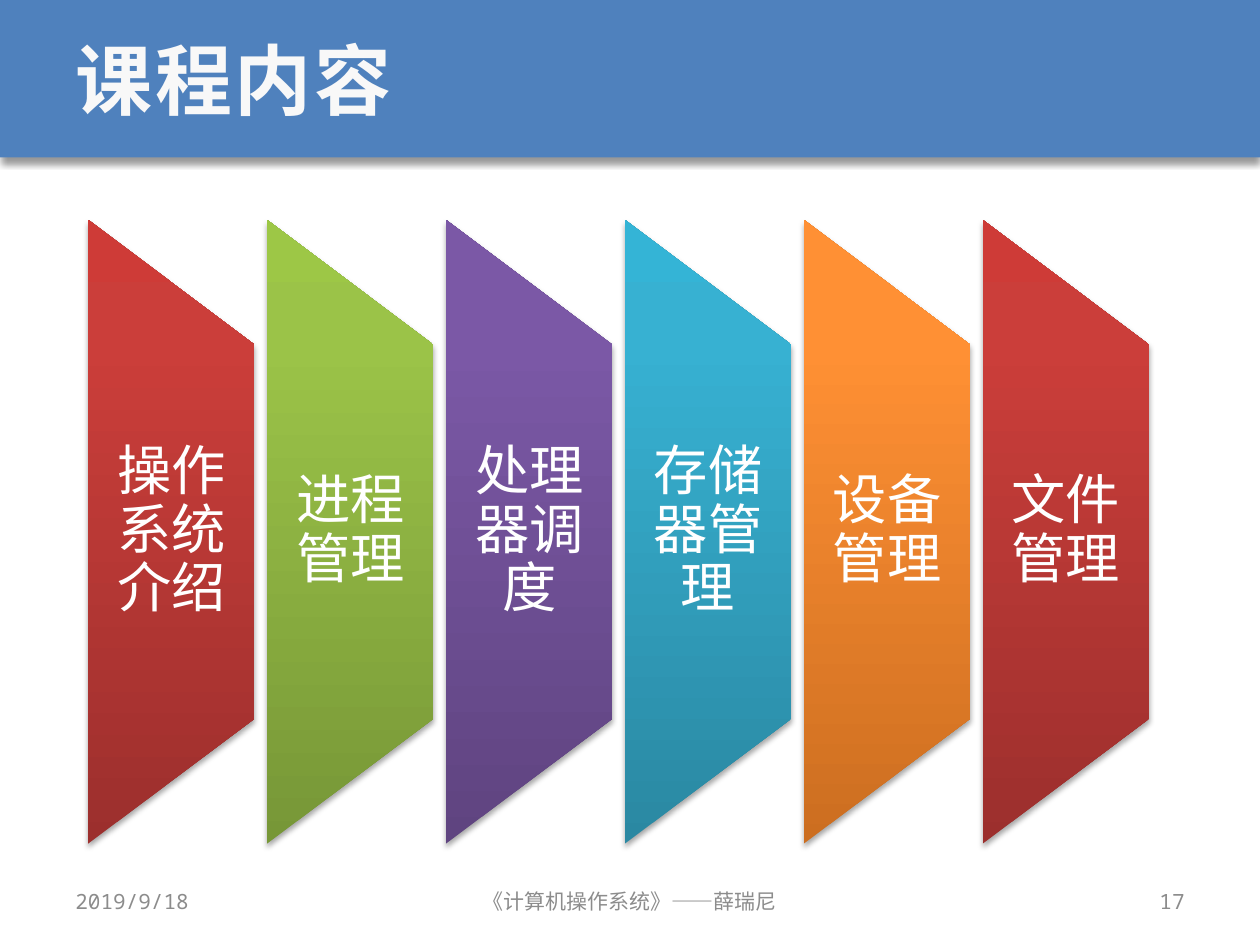
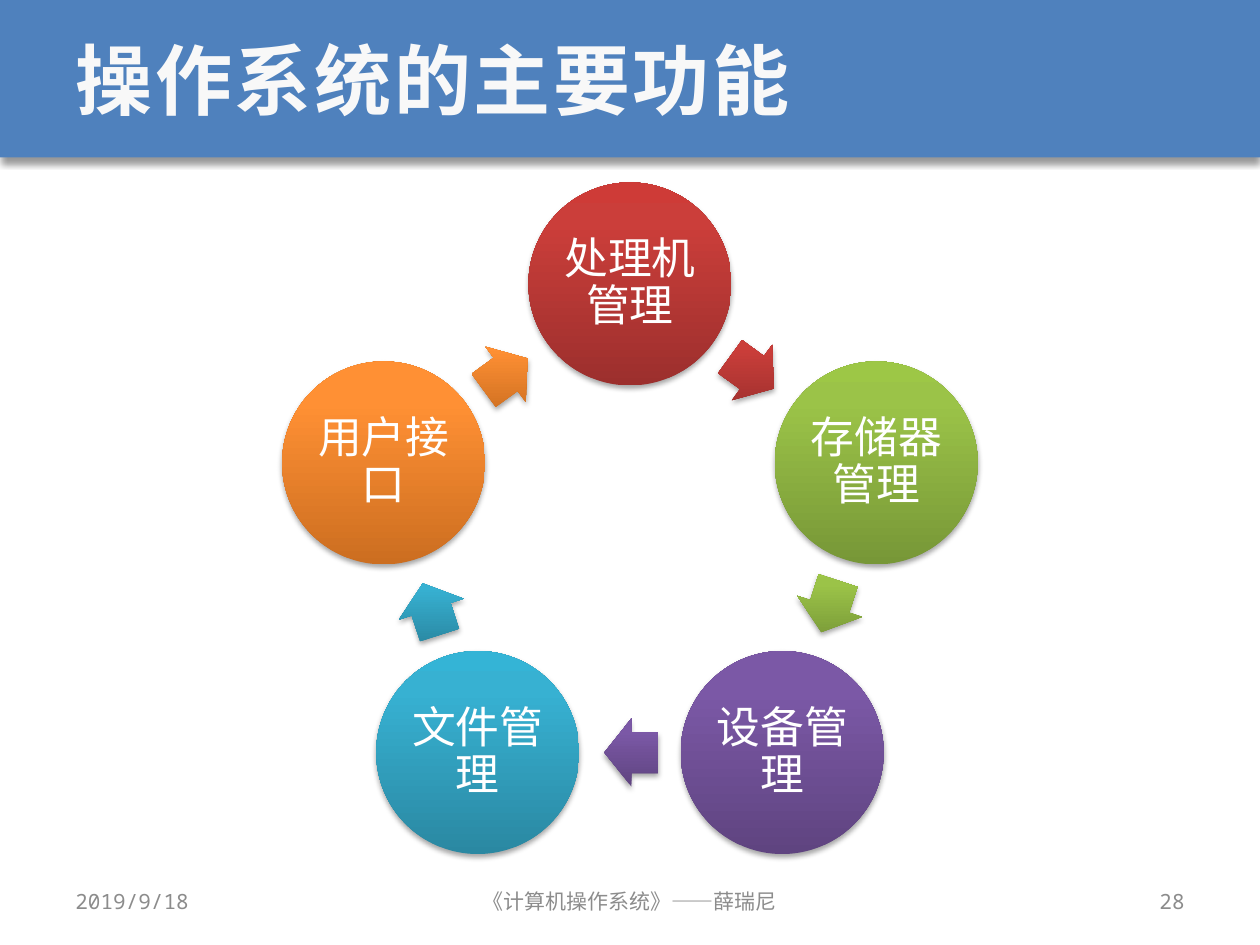
"""Build two course slides: the chapter overview and the cycle of system functions."""
from math import cos, radians, sin

from pptx import Presentation
from pptx.dml.color import RGBColor
from pptx.enum.shapes import MSO_SHAPE
from pptx.enum.text import MSO_ANCHOR, PP_ALIGN
from pptx.oxml import parse_xml
from pptx.oxml.ns import nsdecls, qn
from pptx.util import Pt

RED = ("9C2F2D", "CB3E3A", "CE3B37")
GREEN = ("779737", "9BC348", "9DC746")
PURPLE = ("5F4480", "7B58A6", "7C57A8")
TEAL = ("2A88A2", "37B1D2", "34B4D6")
ORANGE = ("CC6E20", "FF9034", "FF9136")
PALETTE = (RED, GREEN, PURPLE, TEAL, ORANGE)

CHAPTERS = ("操作系统介绍", "进程管理", "处理器调度", "存储器管理", "设备管理", "文件管理")
FUNCTIONS = ("处理机管理", "存储器管理", "设备管理", "文件管理", "用户接口")


def rgb(hex_color):
    return RGBColor.from_string(hex_color)


class Deck:
    BAND_HEIGHT = 90
    TITLE = dict(name="Noto Sans Mono", size=Pt(44), bold=True)
    FOOTER = dict(name="Noto Sans Mono", size=Pt(12))
    BAND_SHADOW = dict(blur=4, dist=3, alpha=40)
    ART_SHADOW = dict(blur=3.1, dist=1.8, alpha=35)

    def __init__(self):
        self.presentation = Presentation()
        self.presentation.slide_width = Pt(720)
        self.presentation.slide_height = Pt(540)
        self.slide = None

    def start_slide(self, heading, number):
        self.slide = self.presentation.slides.add_slide(self.presentation.slide_layouts[5])
        band = self.shape(MSO_SHAPE.RECTANGLE, (0, 0, 720, self.BAND_HEIGHT), self.BAND_SHADOW)
        band.fill.solid()
        band.fill.fore_color.rgb = rgb("4F81BD")
        self.slide.shapes._spTree.insert(2, band.element)

        title = self.slide.shapes.title
        bounds = dict(left=36, top=0, width=648, height=self.BAND_HEIGHT)
        for side, length in bounds.items():
            setattr(title, side, Pt(length))
        run = self.fill_text(title.text_frame, heading, self.TITLE, "F8F8F8", PP_ALIGN.LEFT)
        run._r.get_or_add_rPr().set("spc", "150")

        for text, left, width, align in (
            ("2019/9/18", 36, 168, PP_ALIGN.LEFT),
            ("《计算机操作系统》——薛瑞尼", 246, 228, PP_ALIGN.CENTER),
            (number, 516, 168, PP_ALIGN.RIGHT),
        ):
            self.text((left, 500.4, width, 28.8), text, self.FOOTER, "8C8C8C", align)

    def fill_text(self, frame, text, style, color, align, insets=None, spacing=None):
        frame.word_wrap = True
        frame.vertical_anchor = MSO_ANCHOR.MIDDLE
        if insets:
            for side, inset in zip(("left", "top", "right", "bottom"), insets):
                setattr(frame, f"margin_{side}", Pt(inset))
        paragraph = frame.paragraphs[0]
        paragraph.alignment = align
        if spacing:
            paragraph.line_spacing = spacing
        run = paragraph.add_run()
        run.text = text
        for attribute, value in style.items():
            setattr(run.font, attribute, value)
        run.font.color.rgb = rgb(color)
        run._r.get_or_add_rPr().set("lang", "zh-CN")
        return run

    def text(self, bounds, text, style, color, align, **layout):
        box = self.slide.shapes.add_textbox(*map(Pt, bounds))
        self.fill_text(box.text_frame, text, style, color, align, **layout)

    def label_format(self, size, insets):
        return dict(style=dict(name="Arial", size=Pt(size)), color="FFFFFF",
                    align=PP_ALIGN.CENTER, insets=insets, spacing=0.9)

    def shape(self, kind, bounds, shadow):
        shape = self.slide.shapes.add_shape(kind, *map(Pt, bounds))
        shape.line.fill.background()
        shape.shadow.inherit = False
        shape.element.spPr.find(qn("a:effectLst")).append(parse_xml(
            f'<a:outerShdw {nsdecls("a")} blurRad="{Pt(shadow["blur"])}" '
            f'dist="{Pt(shadow["dist"])}" dir="5400000" rotWithShape="0">'
            f'<a:srgbClr val="000000"><a:alpha val="{shadow["alpha"] * 1000}"/></a:srgbClr>'
            '</a:outerShdw>'))
        return shape

    def gradient_shape(self, kind, center, size, colors, rotation=0):
        (x, y), (width, height) = center, size
        bounds = (x - width / 2, y - height / 2, width, height)
        shape = self.shape(kind, bounds, self.ART_SHADOW)
        shape.rotation = rotation
        shape.fill.solid()
        stops = "".join(
            f'<a:gs pos="{position}"><a:srgbClr val="{rgb(color)}"/></a:gs>'
            for position, color in zip((0, 80000, 100000), colors))
        properties = shape.element.spPr
        properties.replace(properties.find(qn("a:solidFill")), parse_xml(
            f'<a:gradFill {nsdecls("a")} rotWithShape="0"><a:gsLst>{stops}</a:gsLst>'
            '<a:lin ang="16200000" scaled="0"/></a:gradFill>'))
        return shape


def build_chapters(deck):
    deck.start_slide("课程内容", "17")
    width, length, pitch, middle = 95, 356.4, 102.24, 303.84
    label = deck.label_format(31, (15.8, 0, 15.8, 0))
    for index, chapter in enumerate(CHAPTERS):
        left = 50.4 + index * pitch
        deck.gradient_shape(MSO_SHAPE.FLOWCHART_MANUAL_OPERATION, (left + width / 2, middle),
                            (length, width), PALETTE[index % len(PALETTE)], 270)
        deck.text((left, middle - length * 0.3, width, length * 0.6), chapter, **label)


def build_functions(deck):
    deck.start_slide("操作系统的主要功能", "28")
    step = 360 / len(FUNCTIONS)
    radius = 148
    arrow_radius = radius * cos(radians(step / 2))
    label = deck.label_format(25, (2.2,) * 4)

    def on_ring(distance, angle):
        return 360 + distance * sin(radians(angle)), 310.3 - distance * cos(radians(angle))

    for index, (function, colors) in enumerate(zip(FUNCTIONS, PALETTE)):
        angle = index * step
        circle = deck.gradient_shape(MSO_SHAPE.OVAL, on_ring(radius, angle), (116, 116), colors)
        deck.fill_text(circle.text_frame, function, **label)
        heading = angle + step / 2
        arrow = deck.gradient_shape(MSO_SHAPE.RIGHT_ARROW, on_ring(arrow_radius, heading - 0.4),
                                    (31, 39), colors, heading)
        arrow.adjustments[0] = 0.6
        arrow.adjustments[1] = 0.5


def main():
    deck = Deck()
    build_chapters(deck)
    build_functions(deck)
    deck.presentation.save("out.pptx")


if __name__ == "__main__":
    main()
